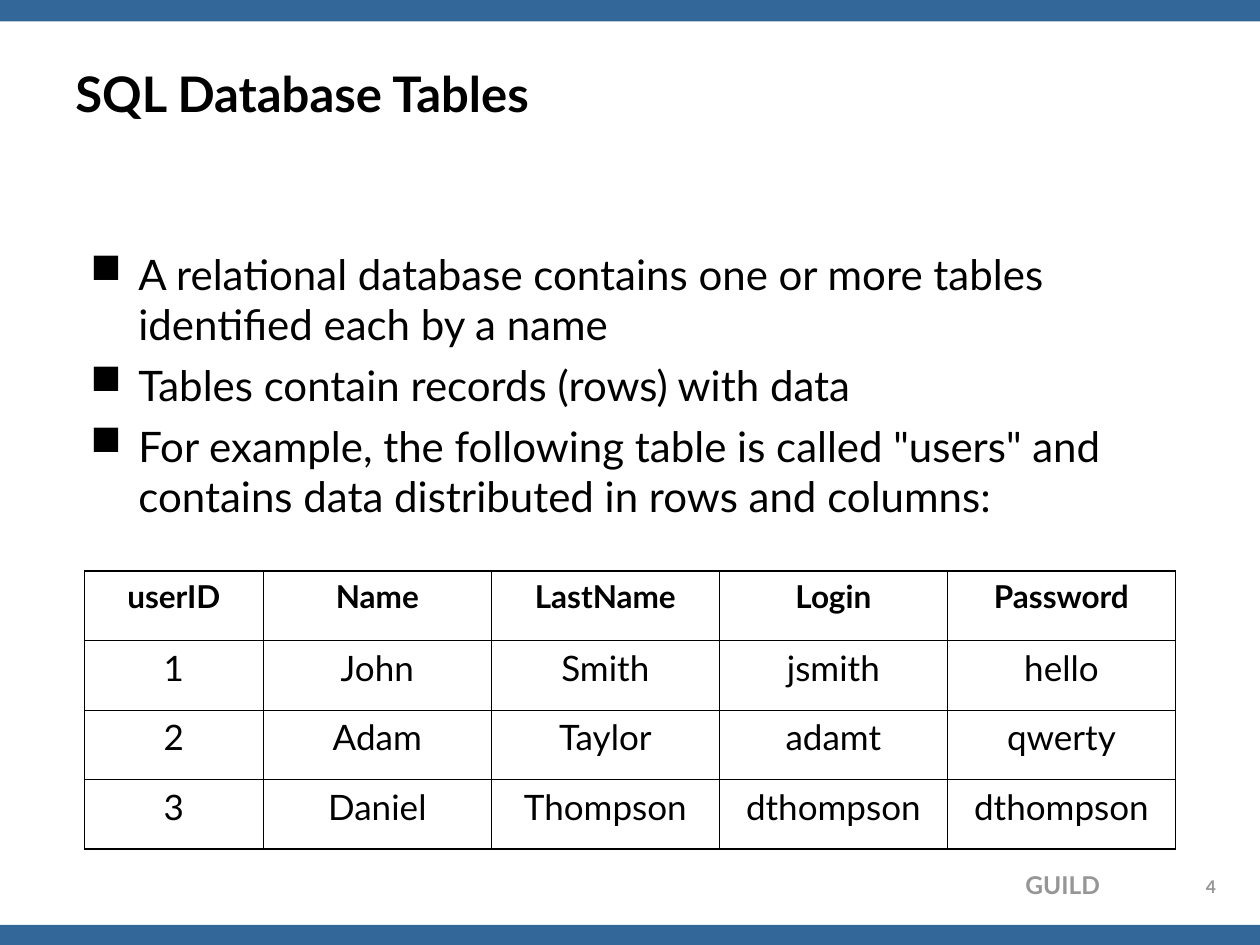
from lxml import etree
from pptx import Presentation
from pptx.dml.color import RGBColor
from pptx.enum import shapes, text
from pptx.oxml import ns
from pptx.util import Inches, Pt

SIZE = (10, 7.5)
BARS = [(0, 0, 10, 0.17), (0, 7.34, 10, 0.17)]
BLUE, GREY, BLACK = "336699", "969696", "000000"
LEFT, MID, RIGHT = text.PP_ALIGN.LEFT, text.PP_ALIGN.CENTER, text.PP_ALIGN.RIGHT

POINTS = [
    "A relational database contains one or more tables identified each by a name",
    "Tables contain records (rows) with data",
    "For example, the following table is called \"users\" and contains data distributed in rows and columns:",
]
BOXES = [
    ((6.22, 6.86, 2.61, 0.34), ["GUILD"], 14, True, GREY, RIGHT),
    ((9.39, 6.9, 0.44, 0.25), ["4"], 10, True, GREY, MID),
    ((0.5, 0.3, 9, 0.87), ["SQL Database Tables"], 28, True, BLACK, LEFT),
    ((0.62, 1.92, 9.03, 2.45), POINTS, 24, False, BLACK, LEFT),
]
USERS = [
    ["userID", "Name", "LastName", "Login", "Password"],
    ["1", "John", "Smith", "jsmith", "hello"],
    ["2", "Adam", "Taylor", "adamt", "qwerty"],
    ["3", "Daniel", "Thompson", "dthompson", "dthompson"],
]
PLACE = (0.67, 4.53, 8.66, 2.21)
COLS = [1.42] + [1.81] * 4
THIN, THICK = 0.45, 1.08


def color(hue):
    return RGBColor.from_string(hue)


def style(para, size, bold, hue, align):
    para.alignment = align
    font = para.font
    for key, val in {"name": "Lato", "size": Pt(size), "bold": bold}.items():
        setattr(font, key, val)
    font.color.rgb = color(hue)


def bullet(para):
    props = para._p.get_or_add_pPr()
    props.set("marL", str(Inches(0.38)))
    props.set("indent", str(-Inches(0.38)))
    etree.SubElement(props, ns.qn("a:buChar"), char="■")


def border(cell, sides):
    props = cell._tc.get_or_add_tcPr()
    for side, width in sides.items():
        line = etree.SubElement(props, ns.qn("a:ln" + side), w=str(Pt(width)))
        fill = etree.SubElement(line, ns.qn("a:solidFill"))
        etree.SubElement(fill, ns.qn("a:srgbClr"), val=BLACK)


def add_bar(slide, place):
    bar = slide.shapes.add_shape(shapes.MSO_SHAPE.RECTANGLE, *map(Inches, place))
    bar.shadow.inherit = False
    bar.fill.solid()
    bar.fill.fore_color.rgb = color(BLUE)
    bar.line.fill.background()


def add_text(slide, place, lines, size, bold, hue, align):
    frame = slide.shapes.add_textbox(*map(Inches, place)).text_frame
    frame.word_wrap = True
    if size == 28:
        frame.vertical_anchor = text.MSO_ANCHOR.MIDDLE
    for num, line in enumerate(lines):
        para = frame.add_paragraph() if num else frame.paragraphs[0]
        para.text = line
        if num:
            para.space_before = Pt(6)
        if lines is POINTS:
            bullet(para)
        style(para, size, bold, hue, align)


def add_users(slide):
    rows, cols = len(USERS), len(COLS)
    table = slide.shapes.add_table(rows, cols, *map(Inches, PLACE)).table
    table.first_row = table.horz_banding = False
    for col, width in zip(table.columns, COLS):
        col.width = Inches(width)
    for r, row in enumerate(USERS):
        table.rows[r].height = Inches(PLACE[3] / rows)
        for c, word in enumerate(row):
            cell = table.cell(r, c)
            cell.text = word
            head = r == 0
            style(cell.text_frame.paragraphs[0], 18 if head else 20, head, BLACK, MID)
            edges = {"L": c == 0, "R": c == cols - 1, "T": head, "B": r == rows - 1}
            border(cell, {side: THICK if outer else THIN for side, outer in edges.items()})
            cell.fill.background()


def main():
    deck = Presentation()
    deck.slide_width, deck.slide_height = map(Inches, SIZE)
    slide = deck.slides.add_slide(deck.slide_layouts[6])
    for place in BARS:
        add_bar(slide, place)
    for box in BOXES:
        add_text(slide, *box)
    add_users(slide)
    deck.save("out.pptx")


if __name__ == "__main__":
    main()
